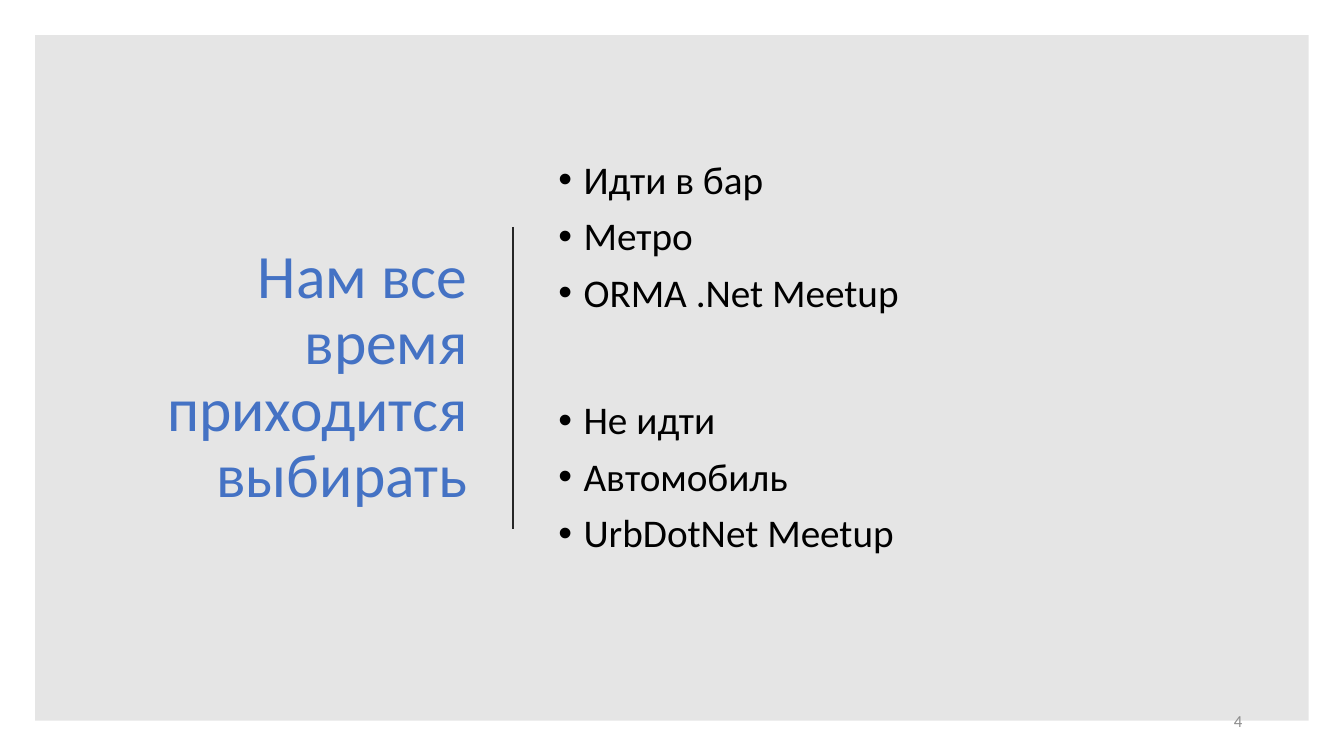
from dataclasses import dataclass

from lxml.etree import SubElement
from pptx import Presentation
from pptx.dml.color import RGBColor
from pptx.enum.shapes import MSO_CONNECTOR, MSO_SHAPE
from pptx.enum.text import MSO_ANCHOR, MSO_AUTO_SIZE, PP_ALIGN
from pptx.oxml.ns import qn
from pptx.util import Inches, Pt

WIDTH, HEIGHT = 13.33, 7.5
MARGIN = 0.35
CONTENT_TOP = 1.05
LIST_LEFT, LIST_WIDTH, LIST_HEIGHT = 5.44, 6.84, 2.52
LIST_STEP = 2.88
DIVIDER_LEFT = 5.09
BULLET_INDENT = 0.25


@dataclass(frozen=True)
class Theme:
    """Colours, font and type sizes of the slide."""

    font: str = "Calibri"
    panel: str = "000000"
    panel_opacity: int = 10
    title: str = "4472C4"
    divider: str = "262626"
    body: str = "000000"
    number: str = "8C8C8C"
    title_size: int = 44
    body_size: int = 28
    number_size: int = 12


THEME = Theme()


def add_span(para, words, size, color):
    """Add one formatted run to a paragraph."""
    span = para.add_run()
    span.text = words
    span.font.name = THEME.font
    span.font.size = Pt(size)
    span.font.color.rgb = RGBColor.from_string(color)


def prepare_frame(box, anchor):
    """Wrap the text of a box and anchor it without resizing."""
    frame = box.text_frame
    frame.word_wrap = True
    frame.auto_size = MSO_AUTO_SIZE.NONE
    frame.vertical_anchor = anchor
    return frame


def add_text_box(page, left, top, width, height, anchor):
    """Add a text box and return its frame."""
    box = page.shapes.add_textbox(Inches(left), Inches(top), Inches(width), Inches(height))
    return prepare_frame(box, anchor)


def add_panel(page):
    """Add the translucent panel inside equal margins."""
    panel = page.shapes.add_shape(
        MSO_SHAPE.RECTANGLE, Inches(MARGIN), Inches(MARGIN),
        Inches(WIDTH - 2 * MARGIN), Inches(HEIGHT - 2 * MARGIN))
    panel.shadow.inherit = False
    panel.line.fill.background()
    panel.fill.solid()
    panel.fill.fore_color.rgb = RGBColor.from_string(THEME.panel)
    color = panel.fill._xPr.find(qn("a:solidFill")).find(qn("a:srgbClr"))
    SubElement(color, qn("a:alpha"), val=str(THEME.panel_opacity * 1000))
    page.shapes._spTree.insert(2, panel._element)


def set_title(page, words):
    """Place and format the title placeholder."""
    title = page.shapes.title
    title.left, title.top = Inches(0.92), Inches(CONTENT_TOP)
    title.width, title.height = Inches(3.82), Inches(HEIGHT * 0.72)
    para = prepare_frame(title, MSO_ANCHOR.MIDDLE).paragraphs[0]
    para.alignment = PP_ALIGN.RIGHT
    para.line_spacing = 0.9
    add_span(para, words, THEME.title_size, THEME.title)


def add_divider(page):
    """Add the vertical line between title and lists."""
    divider = page.shapes.add_connector(
        MSO_CONNECTOR.STRAIGHT, Inches(DIVIDER_LEFT), Inches(HEIGHT * 0.3),
        Inches(DIVIDER_LEFT), Inches(HEIGHT * 0.7))
    divider.line.color.rgb = RGBColor.from_string(THEME.divider)
    divider.line.width = Pt(1.5)
    SubElement(divider._element.spPr, qn("a:effectLst"))


def add_bullet(para):
    """Give a paragraph a hanging bullet."""
    properties = para._p.get_or_add_pPr()
    properties.set("marL", str(Inches(BULLET_INDENT)))
    properties.set("indent", str(-Inches(BULLET_INDENT)))
    SubElement(properties, qn("a:buFont"), typeface="Arial")
    SubElement(properties, qn("a:buChar"), char="•")


def add_list(page, row, items, anchor, bottom_inset):
    """Add a bulleted list in one row of the right column."""
    frame = add_text_box(page, LIST_LEFT, CONTENT_TOP + row * LIST_STEP,
                         LIST_WIDTH, LIST_HEIGHT, anchor)
    frame.margin_bottom = Inches(bottom_inset)
    for index, item in enumerate(items):
        para = frame.add_paragraph() if index else frame.paragraphs[0]
        para.line_spacing = 0.9
        para.space_before = Pt(10)
        add_bullet(para)
        add_span(para, item, THEME.body_size, THEME.body)


def add_page_number(page, number):
    """Add the page number at the lower right."""
    frame = add_text_box(page, 9.42, 6.95, 3, 0.4, MSO_ANCHOR.MIDDLE)
    para = frame.paragraphs[0]
    para.alignment = PP_ALIGN.RIGHT
    add_span(para, number, THEME.number_size, THEME.number)


def main():
    """Build the slide and save the deck."""
    deck = Presentation()
    deck.slide_width, deck.slide_height = Inches(WIDTH), Inches(HEIGHT)
    page = deck.slides.add_slide(deck.slide_layouts.get_by_name("Title Only"))
    add_panel(page)
    set_title(page, "Нам все время приходится выбирать")
    add_divider(page)
    add_list(page, 0, ["Идти в бар", "Метро", "ORMA .Net Meetup"], MSO_ANCHOR.BOTTOM, 0.44)
    add_list(page, 1, ["Не идти", "Автомобиль", "UrbDotNet Meetup"], MSO_ANCHOR.TOP, 0.05)
    add_page_number(page, "4")
    deck.save("out.pptx")


if __name__ == "__main__":
    main()
